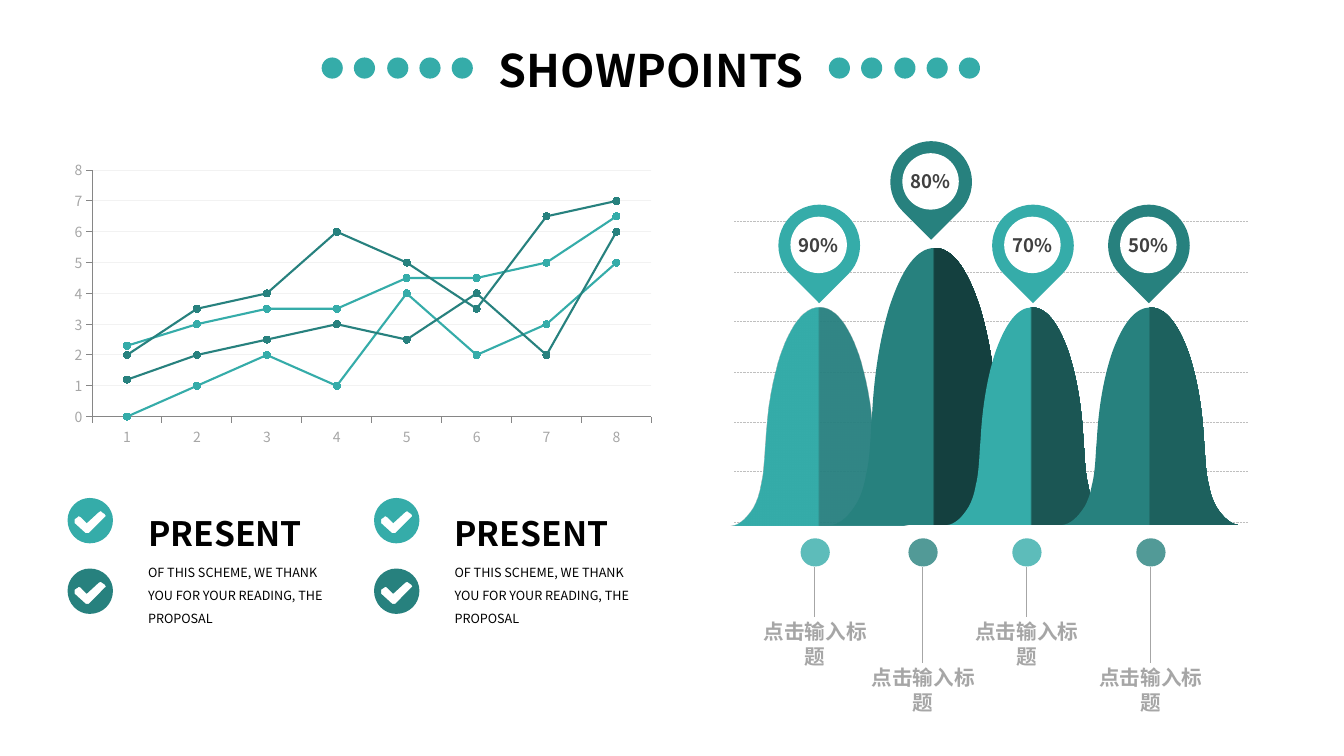
from lxml import etree
from pptx import Presentation
from pptx.chart.data import CategoryChartData
from pptx.dml.color import RGBColor
from pptx.enum.chart import XL_CHART_TYPE, XL_MARKER_STYLE, XL_TICK_MARK
from pptx.enum.dml import MSO_LINE
from pptx.enum.shapes import MSO_CONNECTOR, MSO_SHAPE
from pptx.enum.text import MSO_ANCHOR, PP_ALIGN
from pptx.oxml.ns import qn
from pptx.util import Pt

PX = 9144  # EMU in one px, 100 px to the inch
FONT = "Noto Sans CJK JP"
OVAL, TEAR = MSO_SHAPE.OVAL, MSO_SHAPE.TEAR
LINE = MSO_CONNECTOR.STRAIGHT
DOTS, SOLID = MSO_LINE.ROUND_DOT, MSO_LINE.SOLID
MIDDLE, TOP = MSO_ANCHOR.MIDDLE, MSO_ANCHOR.TOP
LEFT, CENTER = PP_ALIGN.LEFT, PP_ALIGN.CENTER
OUT = XL_TICK_MARK.OUTSIDE
MARKERS, ROUND = XL_CHART_TYPE.LINE_MARKERS, XL_MARKER_STYLE.CIRCLE

HEX = {
    "light": "35ACA9", "dark": "27817E", "shade": "28817F", "night": "14403F",
    "deep": "1B5654", "moss": "1D615E", "white": "FFFFFF", "black": "000000",
    "ink": "404040", "gray": "A6A6A6", "rule": "BFBFBF", "grid": "F2F2F2",
    "axis": "868686",
}
RGB = {name: RGBColor.from_string(code) for name, code in HEX.items()}

deck = Presentation()
deck.slide_width, deck.slide_height = 1333 * PX, 750 * PX
slide = deck.slides.add_slide(deck.slide_layouts[6])
shapes = slide.shapes


def draw(kind, box, color):
    """Add a flat preset shape without outline."""
    shape = shapes.add_shape(kind, *(n * PX for n in box))
    shape.shadow.inherit = False
    shape.line.fill.background()
    shape.fill.solid()
    shape.fill.fore_color.rgb = RGB[color]
    return shape


def write(shape, text, size, color, bold=True, align=LEFT, inset=10, anchor=TOP,
          space=None, wrap=True):
    """Put one formatted paragraph in a shape."""
    frame = shape.text_frame
    look = {"word_wrap": wrap, "vertical_anchor": anchor}
    look.update({f"margin_{side}": inset * PX for side in ("left", "right")})
    look.update({f"margin_{side}": inset * PX // 2 for side in ("top", "bottom")})
    for name, value in look.items():
        setattr(frame, name, value)
    para = frame.paragraphs[0]
    para.alignment, para.line_spacing = align, space
    run = para.add_run()
    run.text = text
    for name, value in {"name": FONT, "size": Pt(size), "bold": bold}.items():
        setattr(run.font, name, value)
    run.font.color.rgb = RGB[color]
    etree.SubElement(run.font._element, qn("a:ea"), typeface=FONT)


# Guide lines and label stems
labels = [(794, 612, "light"), (901, 658, "dark"), (1127, 658, "dark"), (1004, 612, "light")]
lines = [(728, y, 1238, y, "rule", DOTS) for y in (220 + round(i * 49.7) for i in range(7))]
lines += [(x + 14, 563, x + 14, end, "gray", SOLID) for x, end, color in labels]
for *ends, color, dash in lines:
    line = shapes.add_connector(LINE, *(n * PX for n in ends))
    line.line.width = Pt(0.5)
    line.line.color.rgb = RGB[color]
    line.line.dash_style = dash
    etree.SubElement(line._element.spPr, qn("a:effectLst"))

# Curved outlines: a start point, then three Bezier points for each curve
half = [(0, 275), (10, 274), (19, 265), (27, 251), (30, 245), (33, 237), (35, 225),
        (38, 213), (39, 198), (40, 179), (40, 174), (41, 170), (41, 165),
        (43, 125), (49, 89), (58, 59), (71, 19), (86, 0), (103, 0)]
bell = half + [(206 - x, y) for x, y in reversed(half[:-1])]
ring = [(22, 45), (10, 45), (0, 35), (0, 22), (0, 10), (10, 0), (22, 0),
        (35, 0), (45, 10), (45, 22), (45, 35), (35, 45), (22, 45)]
tick = [(37, 16), (34, 14), (33, 13), (31, 14), (19, 25), (13, 19), (11, 18),
        (10, 19), (7, 21), (7, 25), (18, 35), (21, 35), (37, 19), (38, 18)]
bells = [
    (725, 305, 176, ("light", "shade"), 95),
    (824, 246, 206, ("dark", "night"), 100),
    (939, 305, 169, ("light", "deep"), 100),
    (1053, 305, 176, ("dark", "moss"), 100),
]
forms = [(x, y, w / 206, (521 - y) / 275, bell, [], tones, alpha)
         for x, y, w, tones, alpha in bells]
forms += [(x, y, 1, 1, ring, tick, (color,), 100)
          for x in (67, 371) for y, color in ((494, "light"), (564, "dark"))]
for left, top, wide, high, edge, hole, tones, alpha in forms:
    edge, hole = ([((left + x * wide) * PX, (top + y * high) * PX) for x, y in part]
                  for part in (edge, hole))
    pen = shapes.build_freeform(*edge[0])
    pen.add_line_segments(edge[1:])
    if hole:
        pen.move_to(*hole[0])
        pen.add_line_segments(hole[1:])
    shape = pen.convert_to_shape()
    shape.shadow.inherit = False
    shape.line.fill.background()
    steps = list(shape._element.iter(qn("a:lnTo")))[:len(edge) - 1]
    for i in range(0, len(steps), 3):
        curve = etree.Element(qn("a:cubicBezTo"))
        steps[i].addprevious(curve)
        for step in steps[i:i + 3]:
            curve.append(step[0])
            step.getparent().remove(step)
    if len(tones) == 1:
        shape.fill.solid()
        shape.fill.fore_color.rgb = RGB[tones[0]]
        continue
    shape.fill.gradient()
    shape.fill.gradient_angle = 0
    for stop, spot, color in zip(shape.fill.gradient_stops, (0.49, 0.5), tones):
        stop.position = spot
        stop.color.rgb = RGB[color]
    if alpha < 100:
        tone = shape._element.spPr.findall(".//" + qn("a:srgbClr"))[-1]
        etree.SubElement(tone, qn("a:alpha"), val=str(alpha * 1000))

# Pins
pins = [(772, 203, "light", "90%"), (883, 140, "dark", "80%"),
        (984, 203, "light", "70%"), (1099, 203, "dark", "50%")]
for x, y, color, share in pins:
    draw(TEAR, (x, y, 81, 81), color).rotation = 135
    disc = draw(OVAL, (x + 12, y + 12, 56, 56), "white")
    write(disc, share, 13.3, "ink", align=CENTER, inset=0, anchor=MIDDLE, wrap=False)

# Labels under the bells
for x, end, color in labels:
    dot = draw(OVAL, (x, 534, 29, 28), color)
    tone = dot._element.spPr.find(".//" + qn("a:srgbClr"))
    etree.SubElement(tone, qn("a:alpha"), val="80000")
    box = shapes.add_textbox(*(n * PX for n in (x - 43, end + 2, 115, 25)))
    write(box, "点击输入标题", 14.7, "gray", align=CENTER, inset=0)

# Line chart
data = CategoryChartData()
data.categories = [str(n) for n in range(1, 9)]
rows = [
    (0, 1, 2, 1, 4, 2, 3, 5),
    (1.2, 2, 2.5, 3, 2.5, 4, 2, 6),
    (2.3, 3, 3.5, 3.5, 4.5, 4.5, 5, 6.5),
    (2, 3.5, 4, 6, 5, 3.5, 6.5, 7),
]
for i, row in enumerate(rows, 1):
    data.add_series(f"Series {i}", row)
chart = shapes.add_chart(MARKERS, *(n * PX for n in (62, 153, 596, 296)), data).chart
chart.has_legend = chart.has_title = False
chart.font.name, chart.font.size = FONT, Pt(10)
chart.font.color.rgb = RGB["gray"]
for axis in (chart.category_axis, chart.value_axis):
    axis.major_tick_mark = OUT
    axis.format.line.width = Pt(0.75)
    axis.format.line.color.rgb = RGB["axis"]
scale = {"minimum_scale": 0, "maximum_scale": 8, "major_unit": 1, "has_major_gridlines": True}
for name, value in scale.items():
    setattr(chart.value_axis, name, value)
grid = chart.value_axis.major_gridlines.format.line
grid.width = Pt(0.75)
grid.color.rgb = RGB["grid"]
chart.plots[0].vary_by_categories = False
for series, color in zip(chart.plots[0].series, ("light", "dark") * 2):
    series.smooth = False
    series.format.line.width = Pt(1.5)
    series.format.line.color.rgb = RGB[color]
    mark = series.marker
    mark.style, mark.size = ROUND, 5
    mark.format.fill.solid()
    mark.format.fill.fore_color.rgb = RGB[color]
    mark.format.line.color.rgb = RGB[color]

# Texts beside the check marks
for x in (137, 441):
    head = shapes.add_textbox(*(n * PX for n in (x, 504, 179, 50)))
    write(head, "PRESENT", 24, "black")
    body = shapes.add_textbox(*(n * PX for n in (x, 548, 211, 75)))
    write(body, "OF THIS SCHEME, WE THANK YOU FOR YOUR READING, THE PROPOSAL",
          9, "black", bold=False, space=1.5)

# Title between two rows of dots
title = shapes.add_textbox(*(n * PX for n in (485, 37, 327, 64)))
write(title, "SHOWPOINTS", 32, "black")
for start in (319, 822):
    for i in range(5):
        draw(OVAL, (start + round(i * 32.3), 57, 21, 21), "light")

deck.save("out.pptx")
